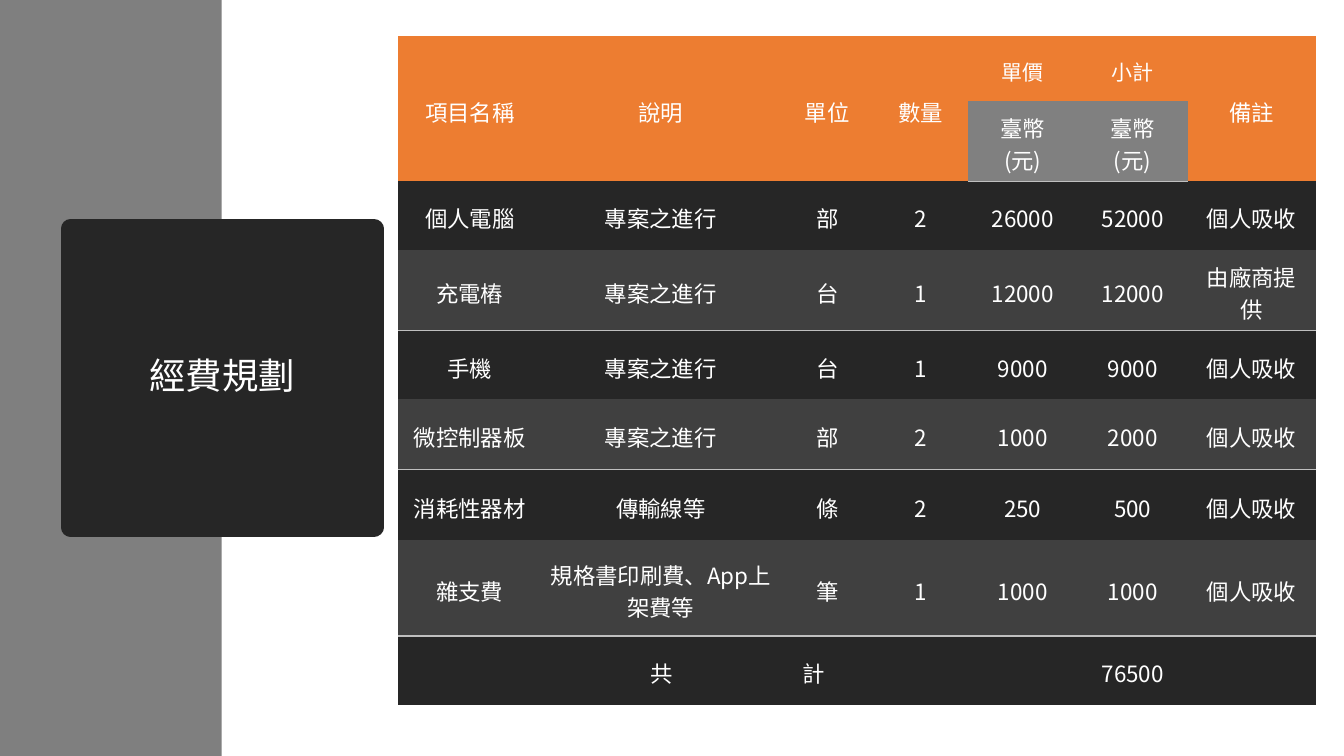
from lxml.etree import SubElement
from pptx import Presentation
from pptx.dml.color import RGBColor
from pptx.enum.shapes import MSO_SHAPE
from pptx.enum.text import MSO_ANCHOR, MSO_AUTO_SIZE, PP_ALIGN
from pptx.oxml import parse_xml
from pptx.oxml.ns import nsdecls, qn
from pptx.util import Inches, Pt

FONT = "Noto Sans CJK TC"
WHITE, GRAY, ORANGE = "FFFFFF", "7F7F7F", "ED7D31"
DARK, MID, RULE = "262626", "404040", "BFBFBF"
PLAIN = "{2D5ABB26-0587-4C30-8999-92F81FD0307C}"

COLS = [1.42, 2.37, 0.93, 0.93, 1.09, 1.09, 1.27]
ROWS = [0.64, 0.8, 0.68, 0.8, 0.68, 0.7, 0.7, 0.95, 0.68]
HEADS = ["項目名稱", "說明", "單位", "數量", "單價", "小計", "備註"]
PRICES = (4, 5)
UNIT = ("臺幣", "(元)")
ITEMS = [
    ["個人電腦", "專案之進行", "部", "2", "26000", "52000", "個人吸收"],
    ["充電樁", "專案之進行", "台", "1", "12000", "12000", "由廠商提供"],
    ["手機", "專案之進行", "台", "1", "9000", "9000", "個人吸收"],
    ["微控制器板", "專案之進行", "部", "2", "1000", "2000", "個人吸收"],
    ["消耗性器材", "傳輸線等", "條", "2", "250", "500", "個人吸收"],
    ["雜支費", "規格書印刷費、App上架費等", "筆", "1", "1000", "1000", "個人吸收"],
]


def paint(fill, color):
    fill.solid()
    fill.fore_color.rgb = RGBColor.from_string(color)


def add_run(para, text, size=16):
    para.alignment = PP_ALIGN.CENTER
    run = para.add_run()
    run.text = text
    run.font.size = Pt(size)
    run.font.bold = False
    run.font.name = FONT
    paint(run.font.fill, WHITE)
    SubElement(run.font._element, qn("a:ea"), typeface=FONT)
    return run


def set_cell(cell, color, text="", size=16):
    cell.margin_left = cell.margin_right = cell.margin_top = Inches(0.09)
    cell.margin_bottom = Inches(0.04)
    cell.vertical_anchor = MSO_ANCHOR.MIDDLE
    paint(cell.fill, color)
    if text:
        add_run(cell.text_frame.paragraphs[0], text, size)


def rule_below(table, row, cols):
    for col in cols:
        edge = parse_xml(
            f'<a:lnB {nsdecls("a")} w="12700"><a:solidFill>'
            f'<a:srgbClr val="{RULE}"/></a:solidFill></a:lnB>')
        table.cell(row, col)._tc.get_or_add_tcPr().insert(0, edge)


def fill_head(table):
    for col, head in enumerate(HEADS):
        cell = table.cell(0, col)
        if col in PRICES:
            set_cell(cell, ORANGE, head, 15)
            unit = table.cell(1, col)
            set_cell(unit, "808080", UNIT[0])
            para = unit.text_frame.paragraphs[0]
            para.add_line_break()
            add_run(para, UNIT[1])
        else:
            cell.merge(table.cell(1, col))
            set_cell(cell, ORANGE, head)
    rule_below(table, 1, PRICES)


def fill_items(table):
    for row, item in enumerate(ITEMS, 2):
        for col, text in enumerate(item):
            set_cell(table.cell(row, col), MID if row % 2 else DARK, text)
        if row % 2:
            rule_below(table, row, range(len(COLS)))


def fill_total(table):
    row = len(ROWS) - 1
    label = table.cell(row, 0)
    label.merge(table.cell(row, 4))
    set_cell(label, DARK)
    para = label.text_frame.paragraphs[0]
    # Letter spacing holds the two characters of the label apart
    add_run(para, "共").font._element.set("spc", "8900")
    add_run(para, " 計")
    set_cell(table.cell(row, 5), DARK, "76500")
    set_cell(table.cell(row, 6), DARK)


def add_budget(slide, left, top):
    frame = slide.shapes.add_table(
        len(ROWS), len(COLS), Inches(left), Inches(top),
        Inches(sum(COLS)), Inches(sum(ROWS)))
    table = frame.table
    table.first_row = table.horz_banding = False
    table._tbl.tblPr.find(qn("a:tableStyleId")).text = PLAIN
    for col, width in zip(table.columns, COLS):
        col.width = Inches(width)
    for row, height in zip(table.rows, ROWS):
        row.height = Inches(height)
    fill_head(table)
    fill_items(table)
    fill_total(table)


def set_title(slide, left, top, width, height):
    title = slide.shapes.title
    title.left, title.top = Inches(left), Inches(top)
    title.width, title.height = Inches(width), Inches(height)
    paint(title.fill, DARK)
    paint(title.line.fill, DARK)
    title.line.width = Pt(13.75)
    SubElement(title.line._ln, qn("a:round"))
    text = title.text_frame
    text.word_wrap = True
    text.auto_size = MSO_AUTO_SIZE.NONE
    text.vertical_anchor = MSO_ANCHOR.MIDDLE
    para = text.paragraphs[0]
    para.line_spacing = 0.9
    add_run(para, "經費規劃", 26)


def add_band(slide, left, top, width, height):
    band = slide.shapes.add_shape(
        MSO_SHAPE.RECTANGLE, Inches(left), Inches(top),
        Inches(width), Inches(height))
    band.shadow.inherit = False
    paint(band.fill, GRAY)
    band.line.fill.background()
    slide.shapes.title.element.addprevious(band.element)


def main():
    deck = Presentation()
    deck.slide_width, deck.slide_height = Inches(13.33), Inches(7.5)
    slide = deck.slides.add_slide(deck.slide_layouts[5])
    add_band(slide, 0, 0, 2.2, 7.5)
    set_title(slide, 0.7, 2.27, 3.01, 2.96)
    add_budget(slide, 3.95, 0.36)
    deck.save("out.pptx")


if __name__ == "__main__":
    main()
